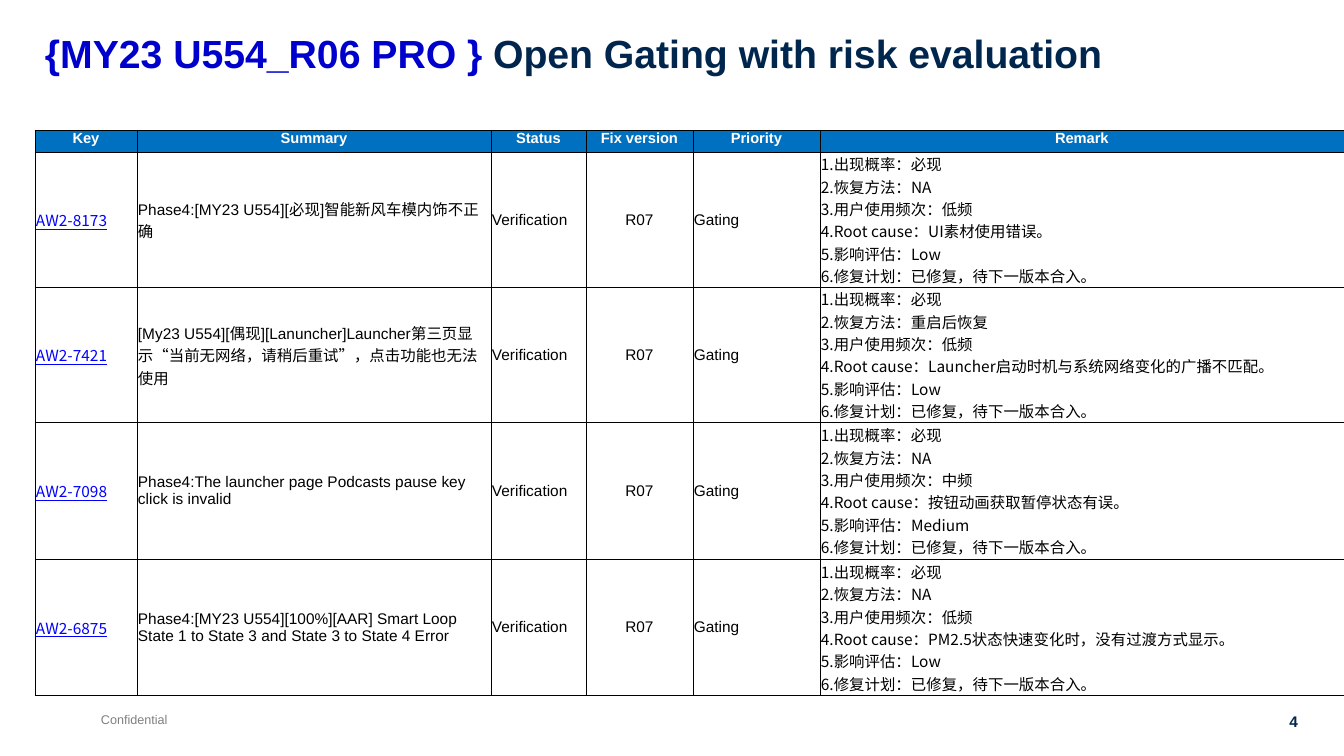
"""Build the open gating risk evaluation slide."""
import lxml.etree
import pptx
import pptx.dml.color
import pptx.enum.text
import pptx.oxml.ns
import pptx.util

RGB = pptx.dml.color.RGBColor
ALIGN = pptx.enum.text.PP_ALIGN
ANCHOR = pptx.enum.text.MSO_ANCHOR
NAVY = RGB(0x00, 0x26, 0x4E)
TITLE_BLUE = RGB(0x00, 0x00, 0xCC)
HEADER_BLUE = RGB(0x00, 0x70, 0xC0)
LINK_BLUE = RGB(0x00, 0x00, 0xFF)
GREY = RGB(0x80, 0x80, 0x80)
BLACK = RGB(0x00, 0x00, 0x00)
WHITE = RGB(0xFF, 0xFF, 0xFF)
LATIN, CHINESE = "Arial", "Noto Sans CJK SC"

TITLE = [("{MY23 U554_R06 PRO } ", TITLE_BLUE), ("Open Gating with risk evaluation", NAVY)]
HEADERS = ["Key", "Summary", "Status", "Fix version", "Priority", "Remark"]
REMARK_LABELS = ["出现概率", "恢复方法", "用户使用频次", "Root cause", "影响评估", "修复计划"]
PLAN = "已修复，待下一版本合入。"
ISSUES = [
    ("AW2-8173", "Phase4:[MY23 U554][必现]智能新风车模内饰不正确",
     ["必现", "NA", "低频", "UI素材使用错误。", "Low", PLAN]),
    ("AW2-7421",
     "[My23 U554][偶现][Lanuncher]Launcher第三页显示“当前无网络，请稍后重试”，点击功能也无法使用",
     ["必现", "重启后恢复", "低频", "Launcher启动时机与系统网络变化的广播不匹配。", "Low", PLAN]),
    ("AW2-7098", "Phase4:The launcher page Podcasts pause key click is invalid",
     ["必现", "NA", "中频", "按钮动画获取暂停状态有误。", "Medium", PLAN]),
    ("AW2-6875",
     "Phase4:[MY23 U554][100%][AAR] Smart Loop State 1 to State 3 and State 3 to State 4 Error",
     ["必现", "NA", "低频", "PM2.5状态快速变化时，没有过渡方式显示。", "Low", PLAN]),
]
STATUS, FIX_VERSION, PRIORITY = "Verification", "R07", "Gating"
COLUMN_WIDTHS = [102, 354, 95, 107, 127, 524]
ROW_HEIGHTS = [22, 135, 135, 137, 136]
TABLE_LEFT, TABLE_TOP = 35, 130


def px(length):
    """Convert px to EMU."""
    return pptx.util.Emu(round(length * 914400 / 100.8))


def style(span, size, color, name=LATIN, bold=False, underline=False):
    """Format one run, including its East Asian font."""
    font = span.font
    font.size, font.name, font.bold = pptx.util.Pt(size), name, bold
    font.underline = underline
    font.color.rgb = color
    latin = span._r.rPr.find(pptx.oxml.ns.qn("a:latin"))
    east_asian = lxml.etree.Element(pptx.oxml.ns.qn("a:ea"), typeface=CHINESE)
    latin.addnext(east_asian)


def add_text(page, bounds, spans, size, bold, align=ALIGN.LEFT, wrap=False):
    """Add a one-line text box made of coloured spans."""
    box = page.shapes.add_textbox(*map(px, bounds))
    box.text_frame.word_wrap = wrap
    para = box.text_frame.paragraphs[0]
    para.alignment = align
    for text, color in spans:
        span = para.add_run()
        span.text = text
        style(span, size, color, bold=bold)
    return box


def add_borders(cell):
    """Draw thin black lines on all four sides of a cell."""
    properties = cell._tc.get_or_add_tcPr()
    for index, side in enumerate(["lnL", "lnR", "lnT", "lnB"]):
        line = lxml.etree.Element(pptx.oxml.ns.qn(f"a:{side}"), w=str(pptx.util.Pt(0.5)))
        fill = lxml.etree.SubElement(line, pptx.oxml.ns.qn("a:solidFill"))
        lxml.etree.SubElement(fill, pptx.oxml.ns.qn("a:srgbClr"), val=str(BLACK))
        properties.insert(index, line)


def fill_cell(cell, text, heading, column):
    """Write and format one table cell."""
    inset = 0 if heading else 1
    cell.margin_left = cell.margin_right = cell.margin_top = px(inset)
    cell.margin_bottom = 0
    cell.vertical_anchor = ANCHOR.TOP if heading else ANCHOR.MIDDLE
    if heading:
        cell.fill.solid()
        cell.fill.fore_color.rgb = HEADER_BLUE
    else:
        cell.fill.background()
    add_borders(cell)
    cell.text_frame.text = text
    centred = heading or HEADERS[column] == "Fix version"
    is_key = HEADERS[column] == "Key"
    for para in cell.text_frame.paragraphs:
        para.alignment = ALIGN.CENTER if centred else ALIGN.LEFT
        for span in para.runs:
            if heading:
                style(span, 10.5, WHITE, bold=True)
            else:
                name = CHINESE if HEADERS[column] in ("Key", "Remark") else LATIN
                style(span, 11, LINK_BLUE if is_key else BLACK, name, underline=is_key)


def add_issue_table(page):
    """Add the issue table with one row per issue."""
    rows = [HEADERS]
    for key, summary, answers in ISSUES:
        remark = "\n".join(
            f"{number}.{label}：{answer}"
            for number, (label, answer) in enumerate(zip(REMARK_LABELS, answers), 1))
        rows.append([key, summary, STATUS, FIX_VERSION, PRIORITY, remark])
    table = page.shapes.add_table(
        len(rows), len(HEADERS), px(TABLE_LEFT), px(TABLE_TOP),
        px(sum(COLUMN_WIDTHS)), px(sum(ROW_HEIGHTS))).table
    table.first_row = table.horz_banding = False
    for column, width in zip(table.columns, COLUMN_WIDTHS):
        column.width = px(width)
    for row, height in zip(table.rows, ROW_HEIGHTS):
        row.height = px(height)
    for row_index, texts in enumerate(rows):
        for column, text in enumerate(texts):
            fill_cell(table.cell(row_index, column), text, row_index == 0, column)


def main():
    """Assemble and save the deck."""
    deck = pptx.Presentation()
    deck.slide_width, deck.slide_height = px(1344), px(756)
    page = deck.slides.add_slide(deck.slide_layouts[6])
    add_text(page, (91, 707, 88, 25), [("Confidential", GREY)], 9, False)
    add_text(page, (1269, 707, 39, 29), [("4", NAVY)], 11, True, ALIGN.RIGHT)
    title = add_text(page, (35, 30, 1309, 53), TITLE, 28, True, wrap=True)
    title.text_frame.paragraphs[0].line_spacing = 0.9
    add_issue_table(page)
    deck.save("out.pptx")


if __name__ == "__main__":
    main()
